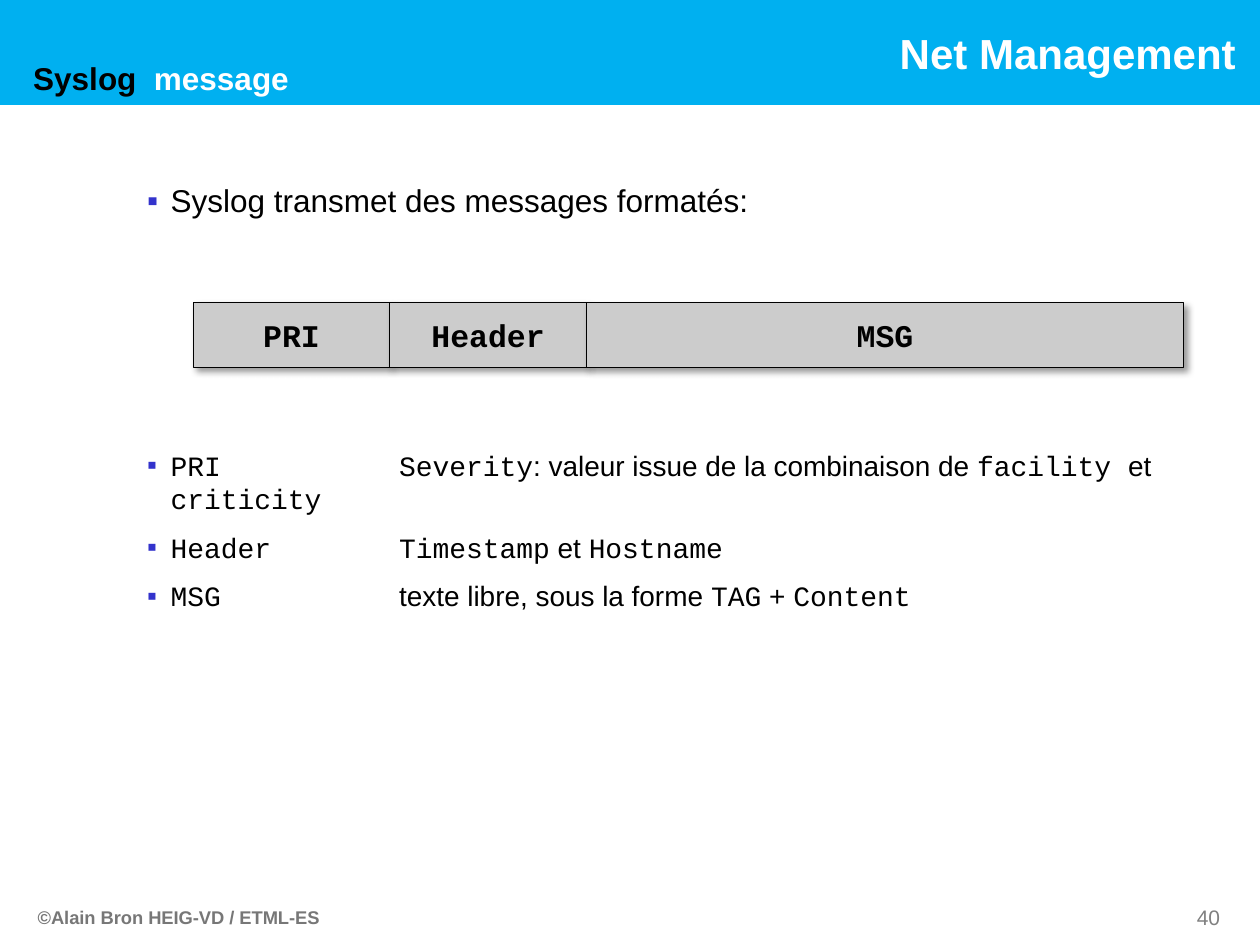
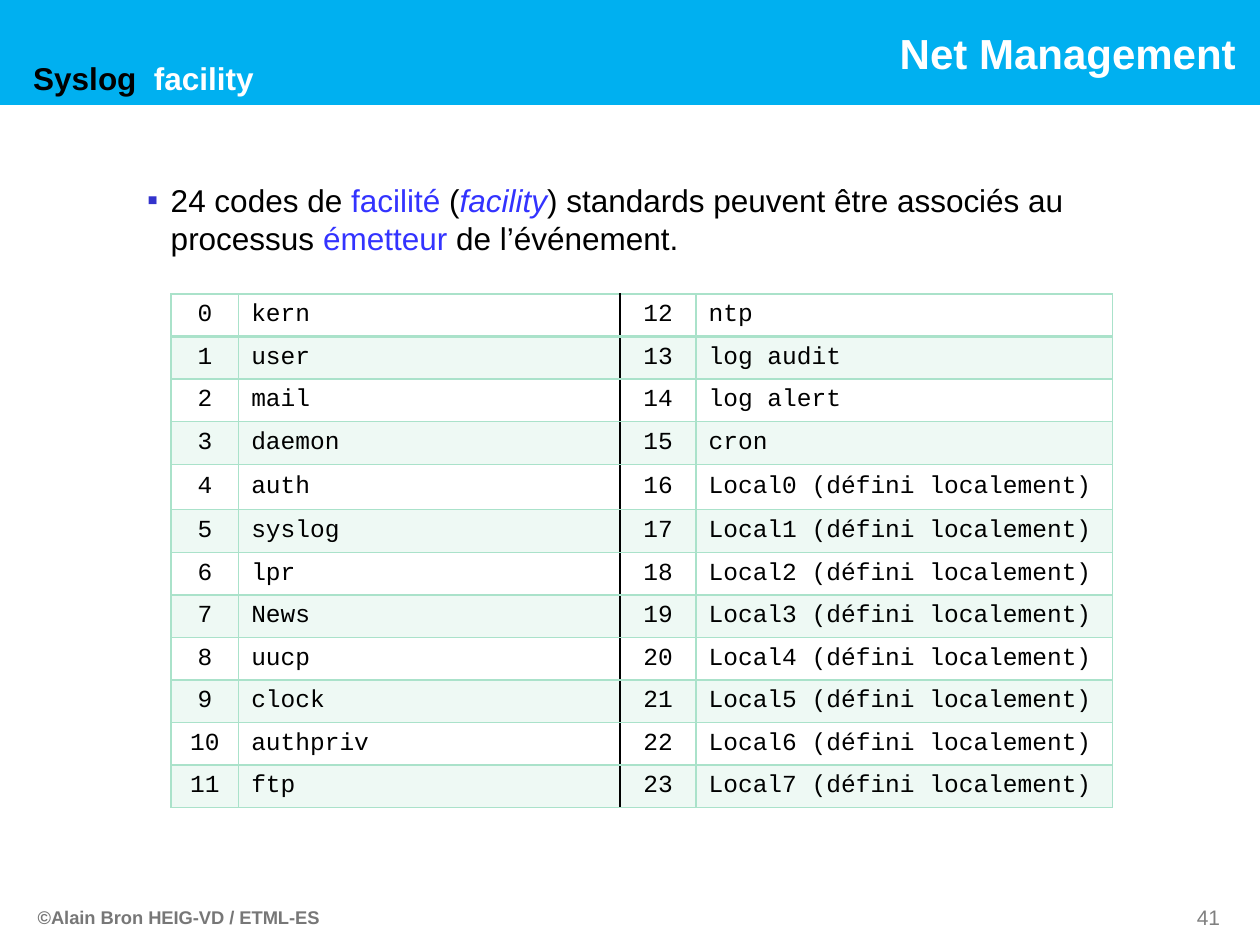
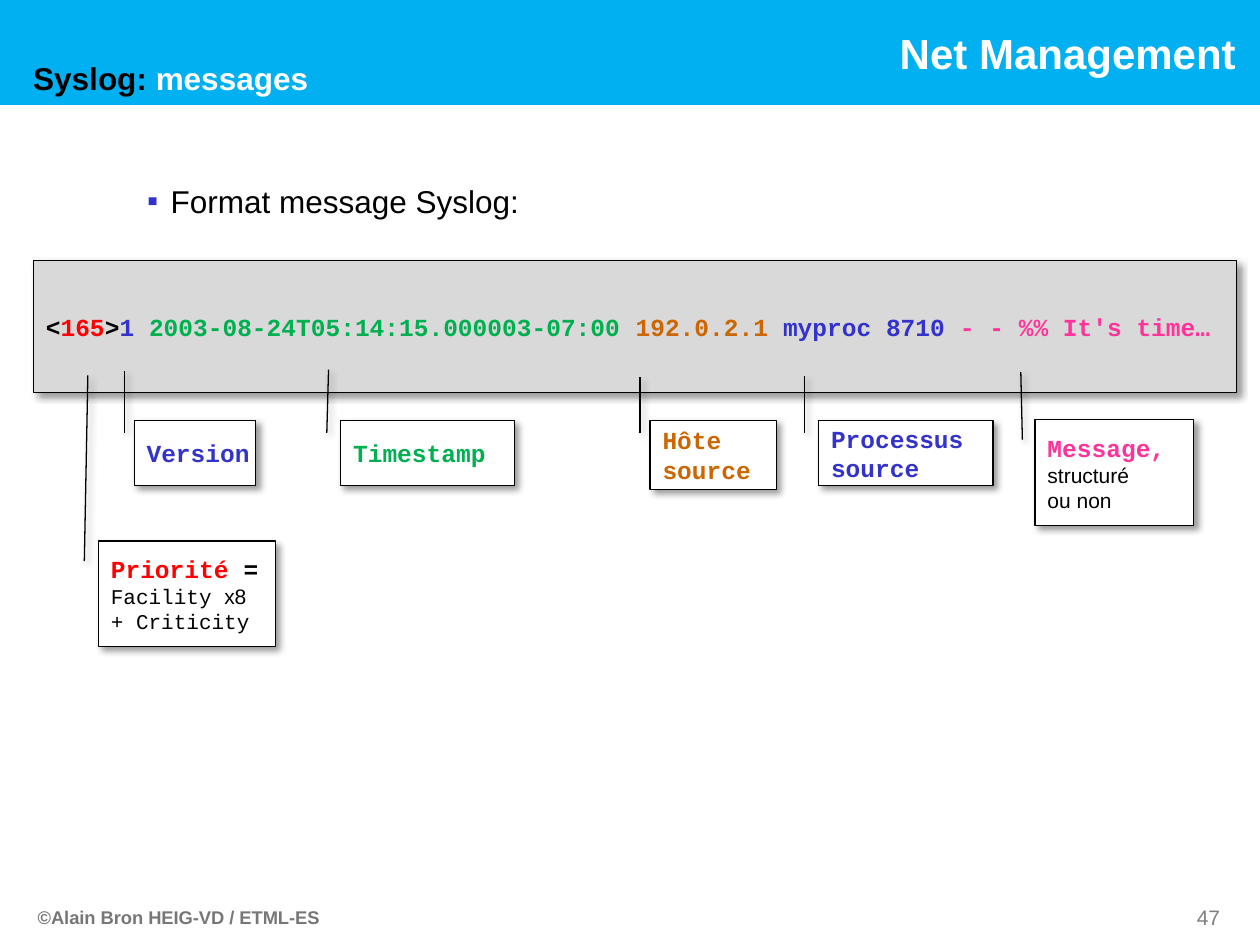
from dataclasses import dataclass
from itertools import accumulate
from typing import Any, NamedTuple

from lxml import etree
from pptx import Presentation
from pptx import util as u
from pptx.dml import color as dml
from pptx.enum import shapes, text
from pptx.oxml import ns

Pt = u.Pt
LEFT, MID, RIGHT = text.PP_ALIGN.LEFT, text.PP_ALIGN.CENTER, text.PP_ALIGN.RIGHT


@dataclass(frozen=True)
class Theme:
    sans: str = "Arial"
    mono: str = "Courier New"
    black: str = "000000"
    white: str = "FFFFFF"
    band: str = "00B0F0"
    foot: str = "777777"
    page: str = "808080"
    bullet: str = "3333CC"
    accent: str = "3333FF"
    field: str = "CCCCCC"
    panel: str = "D9D9D9"
    mint: str = "AAE2CA"
    red: str = "FF0000"
    green: str = "00B050"
    brown: str = "CC6600"
    pink: str = "FF3399"
    brand: float = 24
    head: float = 18
    body: float = 16
    code: float = 14
    note: float = 12
    small: float = 10.5


T = Theme()


class Box(NamedTuple):
    left: float
    top: float
    width: float
    height: float


class Run(NamedTuple):
    text: str
    form: dict[str, Any] = {}


class Para(NamedTuple):
    runs: list[Run]
    before: float = 0


class Callout(NamedTuple):
    box: Box
    tip: tuple[float, float]  # leader end (y, x) as shares of the box
    paras: list[Para]


MONO = dict(name=T.mono)
CODE = dict(name=T.mono, size=T.code, bold=True)
NOTE = dict(size=T.note, bold=False, color=T.black)


def style(font: Any, form: dict[str, Any]) -> None:
    for key, value in form.items():
        if key == "color":
            font.color.rgb = dml.RGBColor.from_string(value)
        else:
            setattr(font, key, Pt(value) if key == "size" else value)


def node(parent: Any, tag: str, **attrs: Any) -> Any:
    """Append a DrawingML element to parent."""
    return etree.SubElement(parent, ns.qn(f"a:{tag}"),
                            {key: str(value) for key, value in attrs.items()})


def write(frame: Any, paras: list[Para], base: dict[str, Any],
          align: Any = LEFT, bullet: bool = False, stop: float = 0) -> None:
    for index, item in enumerate(paras):
        para = frame.paragraphs[0] if index == 0 else frame.add_paragraph()
        props = para._p.get_or_add_pPr()
        if bullet:
            props.set("marL", str(Pt(13.5)))
            props.set("indent", str(Pt(-13.5)))
            node(node(props, "buClr"), "srgbClr", val=T.bullet)
            node(props, "buFont", typeface=T.sans)
            node(props, "buChar", char="▪")
        if stop:
            node(node(props, "tabLst"), "tab", pos=Pt(stop), algn="l")
        para.alignment = align
        para.space_before = Pt(item.before)
        for part in item.runs:
            run = para.add_run()
            run.text = part.text
            style(run.font, base | part.form)


def label(slide: Any, box: Box, paras: list[Para], base: dict[str, Any],
          align: Any = LEFT, bullet: bool = False, stop: float = 0) -> Any:
    shape = slide.shapes.add_textbox(*map(Pt, box))
    shape.text_frame.word_wrap = True
    write(shape.text_frame, paras, base, align, bullet, stop)
    return shape


def block(slide: Any, box: Box, paras: list[Para], base: dict[str, Any], fill: str,
          align: Any = LEFT, kind: Any = shapes.MSO_SHAPE.RECTANGLE,
          raised: bool = True) -> Any:
    """Draw a filled shape; a raised one has a thin outline and a shadow."""
    shape = slide.shapes.add_shape(kind, *map(Pt, box))
    shape.shadow.inherit = False
    shape.fill.solid()
    shape.fill.fore_color.rgb = dml.RGBColor.from_string(fill)
    if raised:
        shape.line.color.rgb = dml.RGBColor.from_string(T.black)
        shape.line.width = Pt(0.75)
        effects = shape._element.spPr.find(ns.qn("a:effectLst"))
        shade = node(effects, "outerShdw", blurRad=Pt(4), dist=Pt(3),
                     dir=45 * 60000, algn="tl", rotWithShape=0)
        node(node(shade, "srgbClr", val=T.black), "alpha", val=40000)
    else:
        shape.line.fill.background()
    frame = shape.text_frame
    frame.word_wrap = False
    frame.vertical_anchor = text.MSO_ANCHOR.MIDDLE
    write(frame, paras, base, align)
    return shape


def dress(slide: Any) -> None:
    """Give the slide's layout the band and the copyright line."""
    layout = slide.slide_layout
    for holder in list(layout.placeholders):
        if holder.placeholder_format.idx:
            holder._element.getparent().remove(holder._element)
    band = block(slide, Box(0, 0, 720, 60), [Para([Run("Net Management")])],
                 dict(name=T.sans, size=T.brand, bold=True, color=T.white),
                 T.band, RIGHT, raised=False)
    band.text_frame.margin_right = Pt(13.8)
    foot = label(slide, Box(14.4, 514, 234, 21),
                 [Para([Run("©Alain Bron HEIG-VD / ETML-ES")])],
                 dict(name=T.sans, size=T.small, bold=True, color=T.foot))
    for shape in (band, foot):
        layout.shapes._spTree.append(shape._element)


def start(deck: Any, topic: str, rest: str, page: int) -> Any:
    """Add a slide with its two-colour title and page number."""
    slide = deck.slides.add_slide(deck.slide_layouts[5])
    if len(deck.slides) == 1:
        dress(slide)
    title = slide.shapes.title
    title.left, title.top, title.width, title.height = map(Pt, (11.8, 30, 611, 29))
    frame = title.text_frame
    frame.auto_size = text.MSO_AUTO_SIZE.NONE
    frame.vertical_anchor = text.MSO_ANCHOR.TOP
    write(frame, [Para([Run(topic), Run(rest, dict(color=T.white))])],
          dict(name=T.sans, size=T.head, bold=True, color=T.black), stop=69)
    label(slide, Box(638.8, 513.5, 65.5, 21.5), [Para([Run(str(page))])],
          dict(name=T.sans, size=T.note, color=T.page), RIGHT)
    return slide


def points(slide: Any, box: Box, paras: list[Para], stop: float = 0) -> None:
    label(slide, box, paras, dict(name=T.sans, size=T.head, color=T.black),
          bullet=True, stop=stop)


def format_slide(deck: Any) -> None:
    slide = start(deck, "Syslog\t", "message", 40)
    plain = dict(size=T.body)
    mono = plain | MONO
    points(slide, Box(77, 100, 608.5, 300), [
        Para([Run("Syslog transmet des messages formatés:")]),
        Para([Run("PRI\tSeverity", mono),
              Run(": valeur issue de la combinaison de ", plain),
              Run("facility ", mono), Run("et ", plain), Run("criticity", mono)], 131),
        Para([Run("Header\tTimestamp", mono), Run(" et ", plain),
              Run("Hostname", mono)], 8.5),
        Para([Run("MSG\t", mono), Run("texte libre, sous la forme ", plain),
              Run("TAG", mono), Run(" + ", plain), Run("Content", mono)], 8.5),
    ], stop=144)
    widths = [112.2, 112.4, 341.2]
    lefts = accumulate(widths, initial=110.5)
    for name, left, width in zip(("PRI", "Header", "MSG"), lefts, widths):
        block(slide, Box(left, 173, width, 36.9), [Para([Run(name)])],
              CODE | dict(size=T.head, color=T.black), T.field, MID)


def edge(cell: Any, side: str, color: str, width: float) -> None:
    line = node(cell._tc.get_or_add_tcPr(), f"ln{side}", w=Pt(width))
    node(node(line, "solidFill"), "srgbClr", val=color)


def facility_slide(deck: Any) -> None:
    slide = start(deck, "Syslog\t", "facility", 41)
    blue = dict(color=T.accent)
    points(slide, Box(77, 100, 580, 83), [Para([
        Run("24 codes de "), Run("facilité", blue), Run(" ("),
        Run("facility", blue | dict(italic=True)),
        Run(") standards peuvent être associés au processus "),
        Run("émetteur", blue), Run(" de l’événement."),
    ])])
    names = ["kern", "user", "mail", "daemon", "auth", "syslog", "lpr", "News",
             "uucp", "clock", "authpriv", "ftp", "ntp", "log audit", "log alert", "cron"]
    names += [f"Local{index} (défini localement)" for index in range(8)]
    half = len(names) // 2
    widths = [38.6, 218, 43.4, 238]
    table = slide.shapes.add_table(half, 4, *map(Pt, (97.8, 168, sum(widths), 293.8))).table
    table.first_row = table.horz_banding = False
    for column, width in zip(table.columns, widths):
        column.width = Pt(width)
    for row in range(half):
        table.rows[row].height = Pt(26 if row == 4 else 24.34)
        values = [str(row), names[row], str(row + half), names[row + half]]
        for col, value in enumerate(values):
            cell = table.cell(row, col)
            cell.vertical_anchor = text.MSO_ANCHOR.MIDDLE
            write(cell.text_frame, [Para([Run(value)])],
                  dict(name=T.mono, size=T.code, color=T.black, bold=False),
                  LEFT if col % 2 else MID)
            edge(cell, "L", T.black if col == 2 else T.mint, 1)
            edge(cell, "R", T.black if col == 1 else T.mint, 1)
            edge(cell, "T", T.mint, 2 if row == 1 else 1)
            edge(cell, "B", T.mint, 2 if row == 0 else 1)
            if row % 2:
                cell.fill.solid()
                cell.fill.fore_color.rgb = dml.RGBColor.from_string(T.mint)
                tint = cell._tc.tcPr.find(f"{ns.qn('a:solidFill')}/{ns.qn('a:srgbClr')}")
                node(tint, "alpha", val=20000)
            else:
                cell.fill.background()


def sample_slide(deck: Any) -> None:
    slide = start(deck, "Syslog: ", "messages", 47)
    points(slide, Box(77, 100.5, 580, 29), [Para([Run("Format message Syslog:")])])
    red, blue, green, brown, pink = (
        dict(color=shade) for shade in (T.red, T.bullet, T.green, T.brown, T.pink))
    base = CODE | dict(color=T.black)
    block(slide, Box(19.1, 148.7, 687.6, 75.7), [Para([
        Run("<"), Run("165", red), Run(">"), Run("1 ", blue),
        Run("2003-08-24T05:14:15.000003-07:00 ", green), Run("192.0.2.1 ", brown),
        Run("myproc 8710 ", blue), Run("- - %% It's time…", pink),
    ])], base, T.panel)
    sans = NOTE | dict(name=T.sans)
    callouts = [
        Callout(Box(56.3, 309.2, 101.2, 60.3), (-1.57, -0.06), [
            Para([Run("Priorité", red), Run(" =")]),
            Para([Run("Facility ", NOTE), Run("x8", sans)]),
            Para([Run("+ Criticity", NOTE)])]),
        Callout(Box(76.7, 240.3, 69.5, 37.2), (-0.76, -0.08),
                [Para([Run("Version", blue)])]),
        Callout(Box(194.7, 240.3, 99.2, 37.2), (-0.78, -0.07),
                [Para([Run("Timestamp", green)])]),
        Callout(Box(371.5, 240.2, 72.3, 39.4), (-0.63, -0.08),
                [Para([Run("Hôte", brown)]), Para([Run("source", brown)])]),
        Callout(Box(467.8, 240.3, 99.6, 37.2), (-0.69, -0.08),
                [Para([Run("Processus", blue)]), Para([Run("source", blue)])]),
        Callout(Box(591.5, 239.8, 90.7, 60.5), (-0.45, -0.09), [
            Para([Run("Message,", pink)]),
            Para([Run("structuré", sans)]), Para([Run("ou non", sans)])]),
    ]
    for item in callouts:
        shape = block(slide, item.box, item.paras, base, T.white,
                      kind=shapes.MSO_SHAPE.LINE_CALLOUT_1)
        for index, value in enumerate((0.19, -0.08, *item.tip)):
            shape.adjustments[index] = value


def main() -> None:
    deck = Presentation()
    deck.slide_width, deck.slide_height = Pt(720), Pt(540)
    for build in (format_slide, facility_slide, sample_slide):
        build(deck)
    deck.save("out.pptx")


if __name__ == "__main__":
    main()
